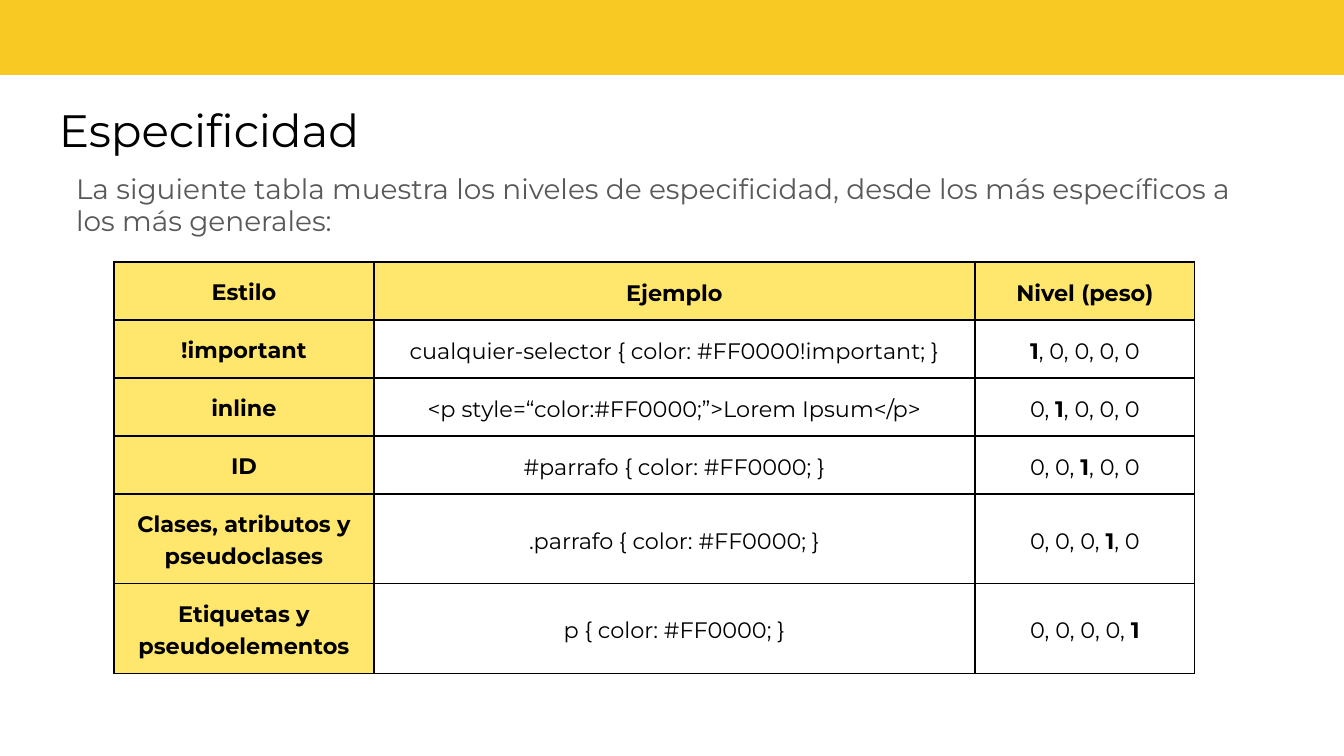
from lxml import etree
from pptx import Presentation
from pptx import util as u
from pptx.dml.color import RGBColor
from pptx.enum import shapes, text
from pptx.oxml import ns

EMU_PER_INCH = 914400
PX_PER_INCH = 134.4

BAND_YELLOW = RGBColor(0xF8, 0xC8, 0x23)
HEADER_YELLOW = RGBColor(0xFF, 0xE6, 0x6D)
WHITE = RGBColor(0xFF, 0xFF, 0xFF)
BLACK = RGBColor(0x00, 0x00, 0x00)
GRAY = RGBColor(0x59, 0x59, 0x59)

HEADERS = ["Estilo", "Ejemplo", "Nivel (peso)"]
STYLES = [
    ("!important", "cualquier-selector { color: #FF0000!important; }"),
    ("inline", "<p style=“color:#FF0000;”>Lorem Ipsum</p>"),
    ("ID", "#parrafo { color: #FF0000; }"),
    ("Clases, atributos y pseudoclases", ".parrafo { color: #FF0000; }"),
    ("Etiquetas y pseudoelementos", "p { color: #FF0000; }"),
]
COLUMN_WIDTHS = [260, 601, 220]
ROW_HEIGHTS = [58, 58, 58, 58, 90, 90]


def px(length):
    return u.Emu(round(length * EMU_PER_INCH / PX_PER_INCH))


def weight_runs(level):
    before = "0, " * level
    after = ", 0" * (len(STYLES) - 1 - level)
    return [(part, part == "1") for part in (before, "1", after) if part]


class SlideBuilder:
    font_name = "Montserrat"
    inset = 13
    border_width = u.Pt(0.75)

    def __init__(self, slide):
        self.slide = slide

    def band(self, left, top, width, height, color):
        shape = self.slide.shapes.add_shape(
            shapes.MSO_SHAPE.RECTANGLE, px(left), px(top), px(width), px(height))
        shape.shadow.inherit = False
        shape.fill.solid()
        shape.fill.fore_color.rgb = color
        shape.line.fill.background()

    def style_run(self, run, size, color, bold=False):
        run.font.name = self.font_name
        run.font.size = u.Pt(size)
        run.font.bold = bold
        run.font.color.rgb = color

    def text_box(self, left, top, width, height, content, size, color,
                 anchor=text.MSO_ANCHOR.TOP, line_spacing=1.0, space_after=0):
        shape = self.slide.shapes.add_textbox(px(left), px(top), px(width), px(height))
        frame = shape.text_frame
        frame.word_wrap = True
        frame.vertical_anchor = anchor
        frame.margin_left = frame.margin_right = px(self.inset)
        frame.margin_top = frame.margin_bottom = px(self.inset)
        frame.text = content
        paragraph = frame.paragraphs[0]
        paragraph.line_spacing = line_spacing
        paragraph.space_after = u.Pt(space_after)
        self.style_run(paragraph.runs[0], size, color)

    def cell_borders(self, cell):
        properties = cell._tc.get_or_add_tcPr()
        for index, side in enumerate(("lnL", "lnR", "lnT", "lnB")):
            line = etree.Element(ns.qn(f"a:{side}"), w=str(self.border_width))
            fill = etree.SubElement(line, ns.qn("a:solidFill"))
            etree.SubElement(fill, ns.qn("a:srgbClr"), val=str(BLACK))
            properties.insert(index, line)

    def cell(self, cell, runs, fill, anchor):
        cell.fill.solid()
        cell.fill.fore_color.rgb = fill
        cell.vertical_anchor = anchor
        cell.margin_left = cell.margin_right = px(self.inset)
        cell.margin_top = cell.margin_bottom = px(self.inset)
        paragraph = cell.text_frame.paragraphs[0]
        paragraph.alignment = text.PP_ALIGN.CENTER
        paragraph.line_spacing = 1.15
        for content, bold in runs:
            run = paragraph.add_run()
            run.text = content
            self.style_run(run, 12, BLACK, bold)
        self.cell_borders(cell)

    def table(self, left, top, column_widths, row_heights, rows):
        table = self.slide.shapes.add_table(
            len(row_heights), len(column_widths), px(left), px(top),
            px(sum(column_widths)), px(sum(row_heights))).table
        table.first_row = False
        table.horz_banding = False
        for column, width in zip(table.columns, column_widths):
            column.width = px(width)
        for row, height in zip(table.rows, row_heights):
            row.height = px(height)
        for r, row_runs in enumerate(rows):
            for c, runs in enumerate(row_runs):
                fill = HEADER_YELLOW if r == 0 or c == 0 else WHITE
                anchor = text.MSO_ANCHOR.MIDDLE if c else text.MSO_ANCHOR.TOP
                self.cell(table.cell(r, c), runs, fill, anchor)


def main():
    presentation = Presentation()
    presentation.slide_width = px(1344)
    presentation.slide_height = px(756)
    builder = SlideBuilder(presentation.slides.add_slide(presentation.slide_layouts[6]))

    builder.band(-1, -7, 1348, 82, BAND_YELLOW)
    builder.text_box(46, 87, 1250, 85, "Especificidad", 24.3, BLACK,
                     anchor=text.MSO_ANCHOR.MIDDLE)
    builder.text_box(
        63, 161, 1218, 93,
        "La siguiente tabla muestra los niveles de especificidad, "
        "desde los más específicos a los más generales:",
        15, GRAY, line_spacing=0.95, space_after=12)

    rows = [[[(header, True)] for header in HEADERS]]
    for level, (style, example) in enumerate(STYLES):
        rows.append([[(style, True)], [(example, False)], weight_runs(level)])
    builder.table(114, 262, COLUMN_WIDTHS, ROW_HEIGHTS, rows)

    presentation.save("out.pptx")


if __name__ == "__main__":
    main()
